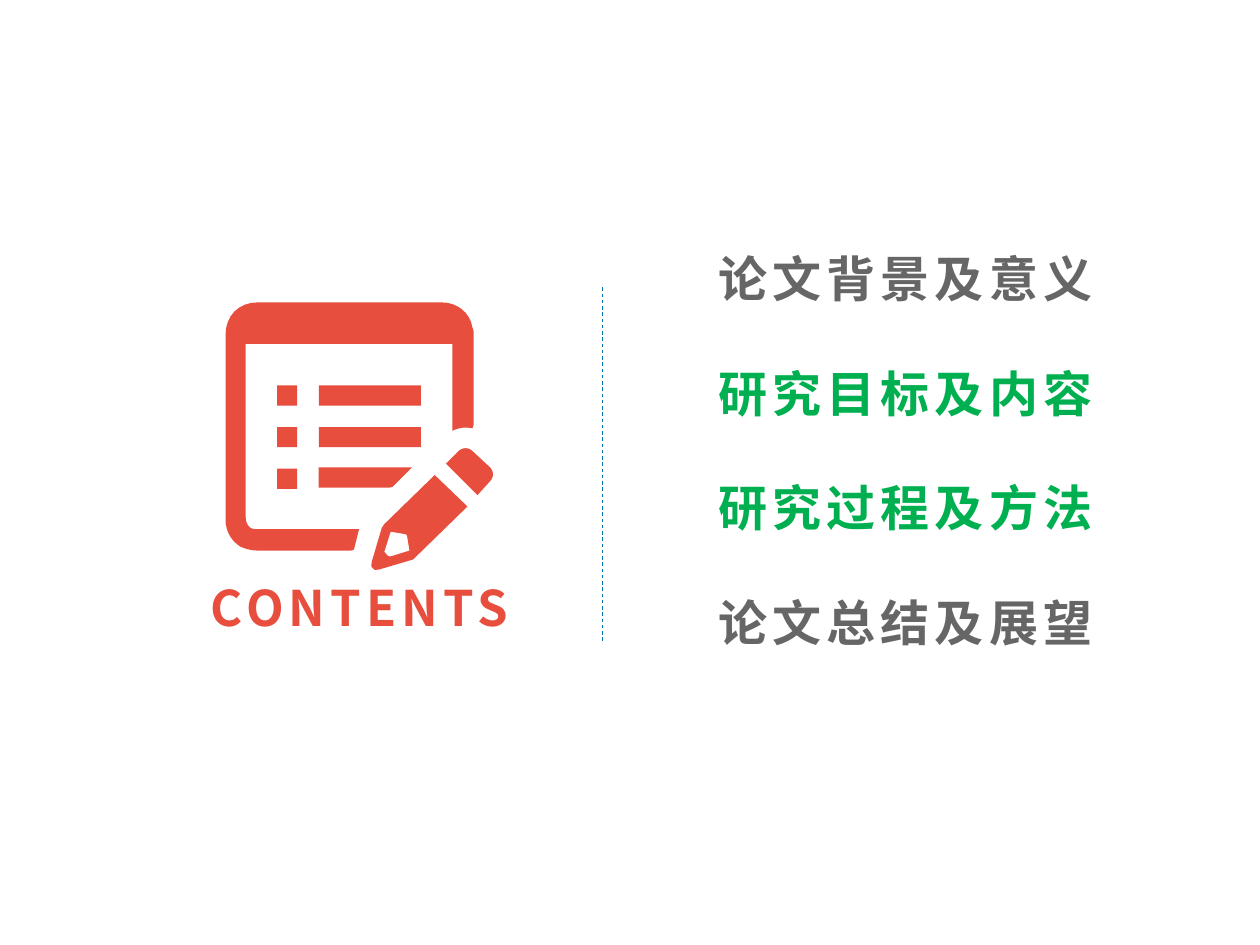
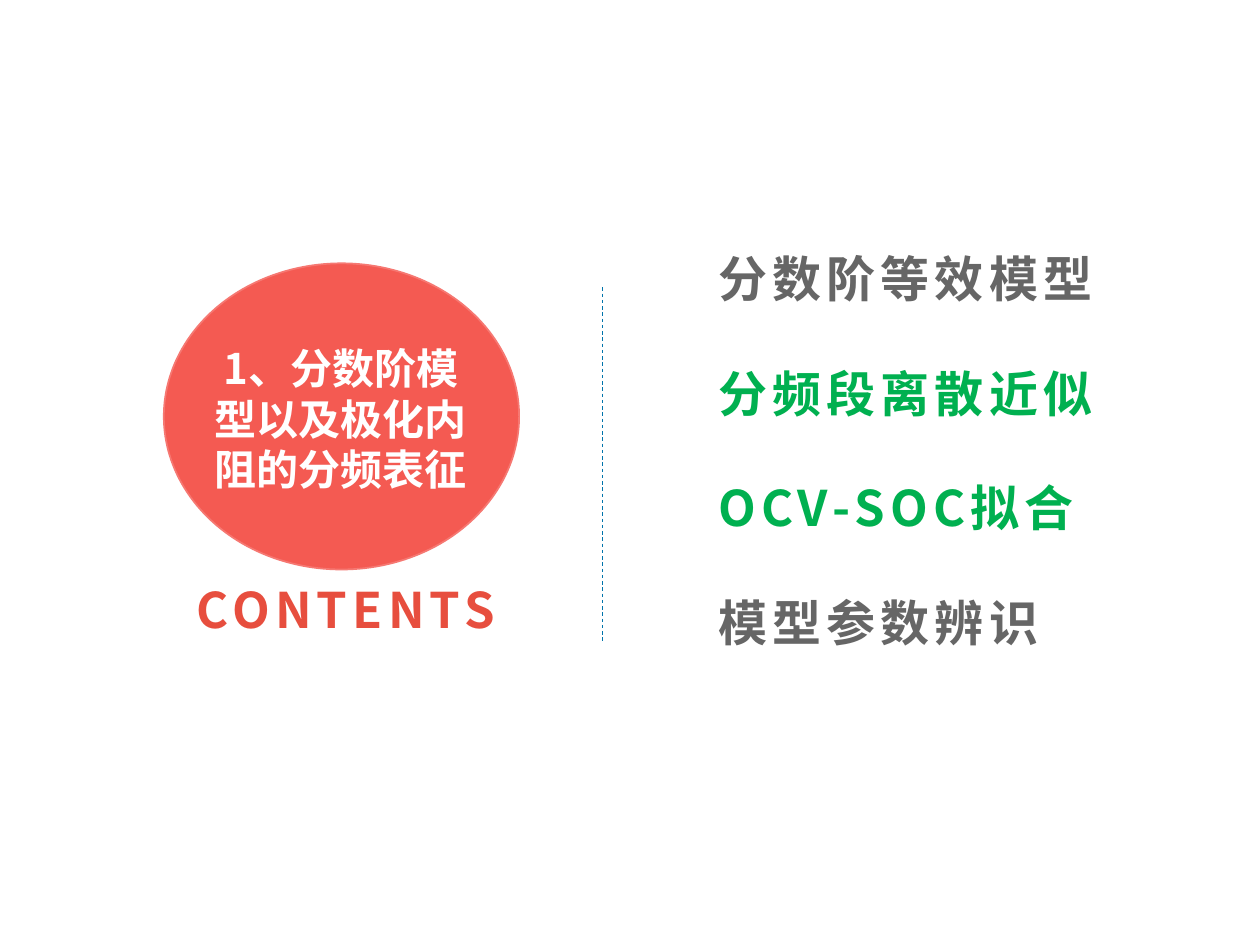
import pptx
import pptx.util
from pptx.dml.color import RGBColor
from pptx.enum.dml import MSO_LINE
from pptx.enum.shapes import MSO_CONNECTOR, MSO_SHAPE
from pptx.enum.text import MSO_ANCHOR, MSO_AUTO_SIZE, PP_ALIGN
from pptx.oxml.ns import qn
from pptx.util import Inches

# Shared look
FONT = "Noto Sans CJK SC"
RED = RGBColor(0xE7, 0x4E, 0x3E)
GREEN = RGBColor(0x00, 0xB0, 0x50)
GREY = RGBColor(0x66, 0x66, 0x66)
BLUE = RGBColor(0x01, 0x74, 0xAB)
CORAL = RGBColor(0xF4, 0x5A, 0x52)
CORAL_EDGE = RGBColor(0xF6, 0x78, 0x72)
WHITE = RGBColor(0xFF, 0xFF, 0xFF)

# Outlines in inches from the icon's corner: pairs are corners, sixes are cubic curves
PAD_FRAME = [
    (1.06, 1.8), (1.02, 1.96), (1.01, 1.97, 1, 1.97, 0.99, 1.97),
    (0.26, 1.97), (0.21, 1.97, 0.17, 1.96, 0.12, 1.94),
    (0.04, 1.89, 0, 1.81, 0, 1.72), (0, 0.26), (0, 0.11, 0.1, 0, 0.26, 0),
    (1.71, 0), (1.84, 0, 1.94, 0.08, 1.96, 0.2),
    (1.97, 0.22, 1.97, 0.24, 1.97, 0.26), (1.97, 0.97), (1.96, 1),
    (1.91, 0.99, 1.86, 0.99, 1.8, 1.02), (1.8, 0.33), (0.16, 0.33),
    (0.16, 1.7), (0.16, 1.76, 0.19, 1.81, 0.26, 1.8),
]
PENCIL = [
    (1.66, 1.37), (1.92, 1.62), (1.52, 2.01),
    (1.51, 2.02, 1.5, 2.03, 1.49, 2.04), (1.22, 2.12),
    (1.2, 2.12, 1.18, 2.13, 1.17, 2.11), (1.15, 2.1, 1.16, 2.08, 1.16, 2.06),
    (1.24, 1.79), (1.26, 1.76),
]
PENCIL_TIP = [
    (1.31, 1.82), (1.26, 1.98), (1.27, 1.99),
    (1.29, 2.02, 1.3, 2.02, 1.33, 2.01), (1.46, 1.97), (1.44, 1.85), (1.43, 1.84),
]
ERASER = [
    (1.75, 1.28), (1.85, 1.18), (1.88, 1.15, 1.93, 1.15, 1.96, 1.18),
    (2.1, 1.31), (2.13, 1.34, 2.13, 1.39, 2.1, 1.42), (2, 1.53),
]
CUT_BAR = [
    (0.74, 1.31), (1.48, 1.31), (1.33, 1.46),
    (1.32, 1.47, 1.31, 1.47, 1.3, 1.47), (0.74, 1.47),
]


def place(shape, left, top, width, height):
    shape.left, shape.top = Inches(left), Inches(top)
    shape.width, shape.height = Inches(width), Inches(height)


def format_frame(frame, anchor=MSO_ANCHOR.TOP):
    frame.word_wrap = True
    frame.auto_size = MSO_AUTO_SIZE.NONE
    frame.vertical_anchor = anchor


def format_paragraph(paragraph, size, color, align=PP_ALIGN.LEFT, tracking=0):
    """Set bold type, with the letter spacing in points."""
    paragraph.alignment = align
    paragraph.space_before = pptx.util.Pt(0)
    font = paragraph.font
    font.name, font.size, font.bold = FONT, pptx.util.Pt(size), True
    font.color.rgb = color
    properties = paragraph._p.pPr.find(qn("a:defRPr"))
    properties.set("spc", str(tracking * 100))
    east_asian = properties.makeelement(qn("a:ea"), {"typeface": FONT})
    properties.append(east_asian)


def remove_bullet(paragraph):
    properties = paragraph._p.pPr
    properties.set("marL", "0")
    properties.set("indent", "0")
    no_bullet = properties.makeelement(qn("a:buNone"), {})
    properties.find(qn("a:defRPr")).addprevious(no_bullet)


def paint(shape, fill, edge=None):
    shape.shadow.inherit = False
    shape.fill.solid()
    shape.fill.fore_color.rgb = fill
    if edge is None:
        shape.line.fill.background()
    else:
        shape.line.color.rgb = edge
        shape.line.width = pptx.util.Pt(1)


def flatten(outline, left, top, steps=8):
    """Turn corners and curves into slide points."""
    points = []
    for part in outline:
        if len(part) == 2:
            points.append(part)
            continue
        controls = [points[-1], part[:2], part[2:4], part[4:]]
        for step in range(1, steps + 1):
            t = step / steps
            weights = ((1 - t) ** 3, 3 * t * (1 - t) ** 2, 3 * t * t * (1 - t), t ** 3)
            points.append(tuple(
                sum(w * control[axis] for w, control in zip(weights, controls))
                for axis in (0, 1)))
    return [(Inches(left + x), Inches(top + y)) for x, y in points]


def add_outline(shapes, left, top, *outlines):
    first, *holes = [flatten(outline, left, top) for outline in outlines]
    builder = shapes.build_freeform(*first[0])
    builder.add_line_segments(first[1:], close=True)
    for hole in holes:
        builder.move_to(*hole[0])
        builder.add_line_segments(hole[1:], close=True)
    paint(builder.convert_to_shape(), RED)


def add_notepad(slide, left, top):
    icon = slide.shapes.add_group_shape().shapes
    add_outline(icon, left, top, PAD_FRAME)
    add_outline(icon, left, top, PENCIL, PENCIL_TIP)
    add_outline(icon, left, top, ERASER)
    add_outline(icon, left, top, CUT_BAR)
    # Three bullet squares, two with full bars
    cells = [(0.41, row, 0.16) for row in range(3)]
    cells += [(0.74, row, 0.81) for row in range(2)]
    for x, row, width in cells:
        cell = icon.add_shape(MSO_SHAPE.RECTANGLE, 0, 0, 0, 0)
        place(cell, left + x, top + 0.66 + 0.33 * row, width, 0.16)
        paint(cell, RED)


def add_topic_disc(slide, left, top, topic):
    disc = slide.shapes.add_shape(MSO_SHAPE.OVAL, 0, 0, 0, 0)
    place(disc, left, top, 2.82, 2.43)
    paint(disc, CORAL, CORAL_EDGE)
    label = slide.shapes.add_textbox(0, 0, 0, 0)
    place(label, left + 0.3, top + 0.58, 2.21, 1.31)
    format_frame(label.text_frame)
    label.text_frame.text = topic
    format_paragraph(label.text_frame.paragraphs[0], 24, WHITE, PP_ALIGN.CENTER)


def add_divider(slide, x, top, bottom):
    divider = slide.shapes.add_connector(
        MSO_CONNECTOR.STRAIGHT, Inches(x), Inches(top), Inches(x), Inches(bottom))
    divider.line.color.rgb = BLUE
    divider.line.width = pptx.util.Pt(0.5)
    divider.line.dash_style = MSO_LINE.DASH
    properties = divider._element.spPr
    properties.append(properties.makeelement(qn("a:effectLst"), {}))


def fill_chapters(body, left, top, chapters):
    place(body, left, top, 3.27, 3.29)
    frame = body.text_frame
    format_frame(frame)
    frame.text = "\n".join(chapters)
    for paragraph, color in zip(frame.paragraphs, (GREY, GREEN, GREEN, GREY)):
        format_paragraph(paragraph, 28, color, tracking=3)
        paragraph.space_after = pptx.util.Pt(32)
        remove_bullet(paragraph)


def add_contents_slide(deck, title_left, title_top, chapters):
    slide = deck.slides.add_slide(deck.slide_layouts[1])
    add_divider(slide, 4.78, 2.28, 5.1)
    title = slide.shapes.title
    place(title, title_left, title_top, 2.91, 0.57)
    format_frame(title.text_frame)
    title.text_frame.text = "CONTENTS"
    format_paragraph(title.text_frame.paragraphs[0], 28, RED, PP_ALIGN.CENTER, 3)
    fill_chapters(slide.placeholders[1], 5.6, 1.92, chapters)
    return slide


def main():
    deck = pptx.Presentation()
    deck.slide_width, deck.slide_height = Inches(10), Inches(7.5)

    # Thesis contents
    thesis = add_contents_slide(deck, 1.4, 4.53, [
        "论文背景及意义", "研究目标及内容", "研究过程及方法", "论文总结及展望"])
    add_notepad(thesis, 1.79, 2.4)

    # First topic
    model = add_contents_slide(deck, 1.29, 4.55, [
        "分数阶等效模型", "分频段离散近似", "OCV-SOC拟合", "模型参数辨识"])
    add_topic_disc(model, 1.3, 2.09, "1、分数阶模型以及极化内阻的分频表征")

    deck.save("out.pptx")


if __name__ == "__main__":
    main()
